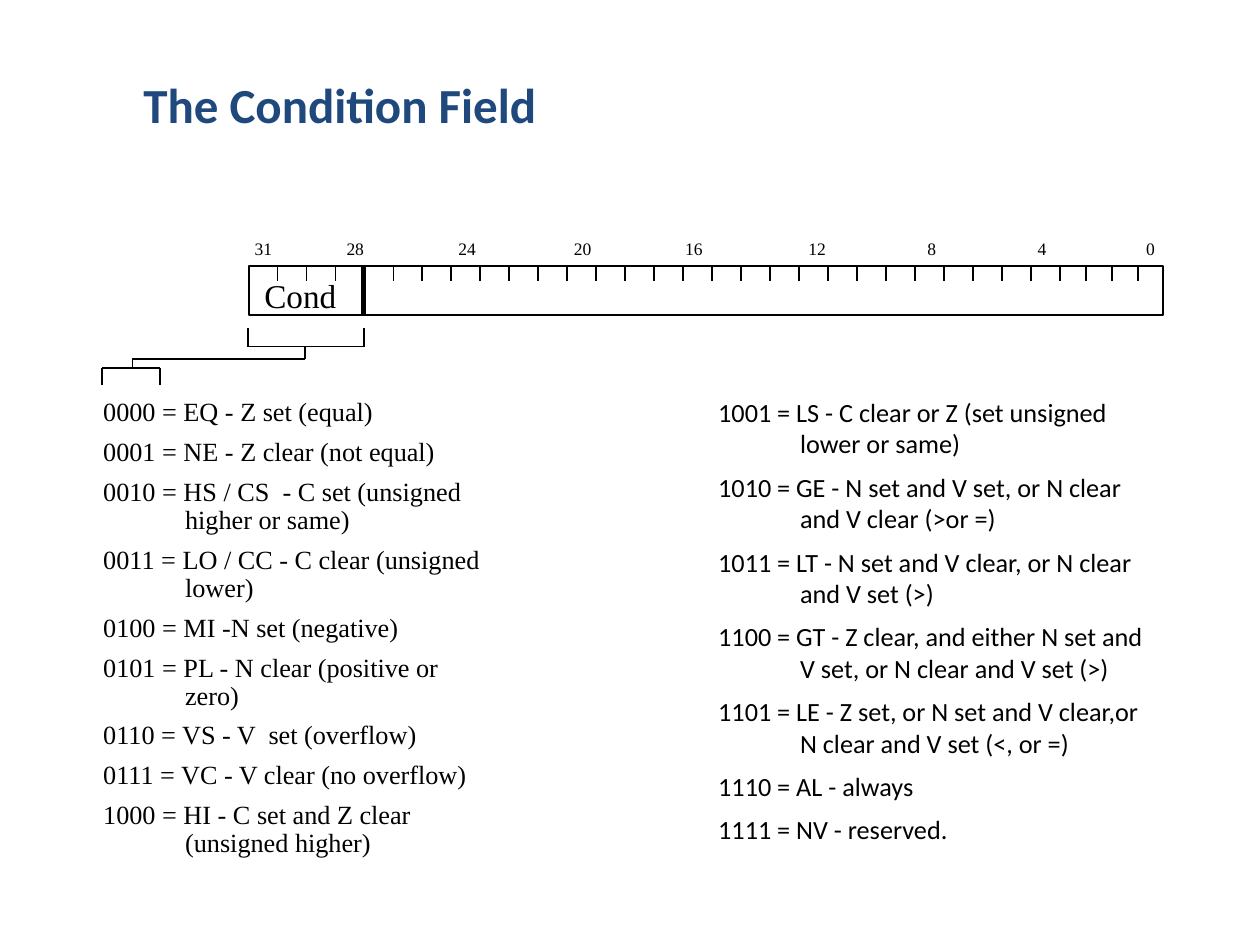
from dataclasses import dataclass
from itertools import pairwise

from lxml.etree import SubElement
from pptx import Presentation
from pptx.dml.color import RGBColor as Rgb
from pptx.enum.shapes import MSO_CONNECTOR as Link, MSO_SHAPE as Form
from pptx.enum.text import MSO_ANCHOR as Anchor, MSO_AUTO_SIZE as Fit
from pptx.oxml.ns import qn
from pptx.util import Pt


@dataclass(frozen=True)
class Theme:
    ink: Rgb = Rgb(0, 0, 0)
    blue: Rgb = Rgb(0x1F, 0x49, 0x7D)
    sans: str = "Calibri"
    serif: str = "Times New Roman"
    title: float = 28
    field: float = 19
    body: float = 15
    label: float = 10
    thin: float = 1
    thick: float = 2


THEME = Theme()

LOW = (
    "0000 = EQ - Z set (equal)",
    "0001 = NE - Z clear (not equal)",
    "0010 = HS / CS  - C set (unsigned higher or same)",
    "0011 = LO / CC - C clear (unsigned lower)",
    "0100 = MI -N set (negative)",
    "0101 = PL - N clear (positive or zero)",
    "0110 = VS - V  set (overflow)",
    "0111 = VC - V clear (no overflow)",
    "1000 = HI - C set and Z clear (unsigned higher)",
)
HIGH = (
    "1001 = LS - C clear or Z (set unsigned lower or same)",
    "1010 = GE - N set and V set, or N clear and V clear (>or =)",
    "1011 = LT - N set and V clear, or N clear and V set (>)",
    "1100 = GT - Z clear, and either N set and V set, or N clear and V set (>)",
    "1101 = LE - Z set, or N set and V clear,or N clear and V set (<, or =)",
    "1110 = AL - always",
    "1111 = NV - reserved.",
)
# Bit number and the centre of its label, from the left end of the register
BITS = ((31, 8.5), (28, 61), (24, 125), (20, 191), (16, 254.5),
        (12, 325), (8, 390.5), (4, 453.5), (0, 515.5))


def add_line(slide, start, end, width=THEME.thin):
    line = slide.shapes.add_connector(Link.STRAIGHT, *map(Pt, start + end))
    line.line.color.rgb = THEME.ink
    line.line.width = Pt(width)
    props = line._element.find(qn("p:spPr"))
    SubElement(props, qn("a:effectLst"))


def add_route(slide, *points):
    """Draw straight lines from each point to the next."""
    for start, end in pairwise(points):
        add_line(slide, start, end)


def add_frame(slide, box):
    frame = slide.shapes.add_shape(Form.RECTANGLE, *map(Pt, box))
    frame.shadow.inherit = False
    frame.fill.background()
    frame.line.color.rgb = THEME.ink
    frame.line.width = Pt(THEME.thin)


def add_text(slide, box, lines, size, face, color=THEME.ink, bold=False,
             wrap=True, pads=(5, 2.4), space=None, gap=0, hang=0):
    """Add a text box with one paragraph for each line; hang sets the indent."""
    frame = slide.shapes.add_textbox(*map(Pt, box)).text_frame
    frame.word_wrap = wrap
    frame.auto_size = Fit.NONE
    frame.margin_left = frame.margin_right = Pt(pads[0])
    frame.margin_top = frame.margin_bottom = Pt(pads[1])
    for i, text in enumerate(lines):
        para = frame.add_paragraph() if i else frame.paragraphs[0]
        if hang:
            props = para._p.get_or_add_pPr()
            props.set("marL", str(Pt(hang)))
            props.set("indent", str(-Pt(hang)))
        if space:
            para.line_spacing = space
        if i:
            para.space_before = Pt(gap)
        run = para.add_run()
        run.text = text
        font = run.font
        font.size, font.name, font.bold = Pt(size), face, bold
        font.color.rgb = color
    return frame


def add_title(slide, box):
    frame = add_text(slide, box, ["The Condition Field"], THEME.title,
                     THEME.sans, THEME.blue, bold=True, pads=(7.2, 3.6))
    frame.vertical_anchor = Anchor.MIDDLE


def add_word(slide, box):
    """Draw the 32-bit register, its bit marks, labels and condition field."""
    left, top, width, high = box
    pitch, tight = 16.56, 14.9
    cond = 4 * pitch
    add_frame(slide, (left, top, cond - 2, high))
    add_frame(slide, box)
    for i in range(32):
        x = left - 0.5 + min(i, 28) * pitch + max(i - 28, 0) * tight
        field = i == 4
        add_line(slide, (x, top + 0.5), (x, top + (high if field else 8.5)),
                 THEME.thick if field else THEME.thin)
    for bit, mid in BITS:
        wide = 21 if bit > 9 else 16
        add_text(slide, (left + mid - wide / 2, top - 18.5, wide, 16.5),
                 [str(bit)], THEME.label, THEME.serif, wrap=False)
    add_text(slide, (left + 3.6, top + 5.8, 52, 24.5), ["Cond"],
             THEME.field, THEME.serif, wrap=False, space=0.88)


def add_brace(slide, box):
    """Link the condition field, top right, to the codes, bottom left."""
    left, top, width, high = box
    right, base = left + width, top + high
    field, stem, code = left + 83.5, left + 116, left + 17.3
    upper, mid, lower = top + 10.8, top + 18, top + 23
    add_route(slide, (field, top), (field, upper), (right, upper), (right, top))
    add_route(slide, (stem, upper), (stem, mid), (code, mid), (code, lower))
    add_route(slide, (left, base), (left, lower),
              (left + 33, lower), (left + 33, base))


def add_codes(slide, box, lines, face, space=None):
    add_text(slide, box, lines, THEME.body, face, space=space,
             gap=0.45 * THEME.body, hang=46.8)


def main():
    deck = Presentation()
    deck.slide_width, deck.slide_height = Pt(720), Pt(540)
    slide = deck.slides.add_slide(deck.slide_layouts[6])
    add_title(slide, (74.9, 13, 571, 92.9))
    add_word(slide, (142.5, 152, 522, 28))
    add_brace(slide, (58.4, 187.2, 149.6, 33))
    # The first row sits one gap below the top of its column
    add_codes(slide, (54, 225.4 + 0.5, 234.7, 280), LOW, THEME.serif, 0.89)
    add_codes(slide, (405.4, 224, 260.6, 271.4), HIGH, THEME.sans)
    deck.save("out.pptx")


if __name__ == "__main__":
    main()
